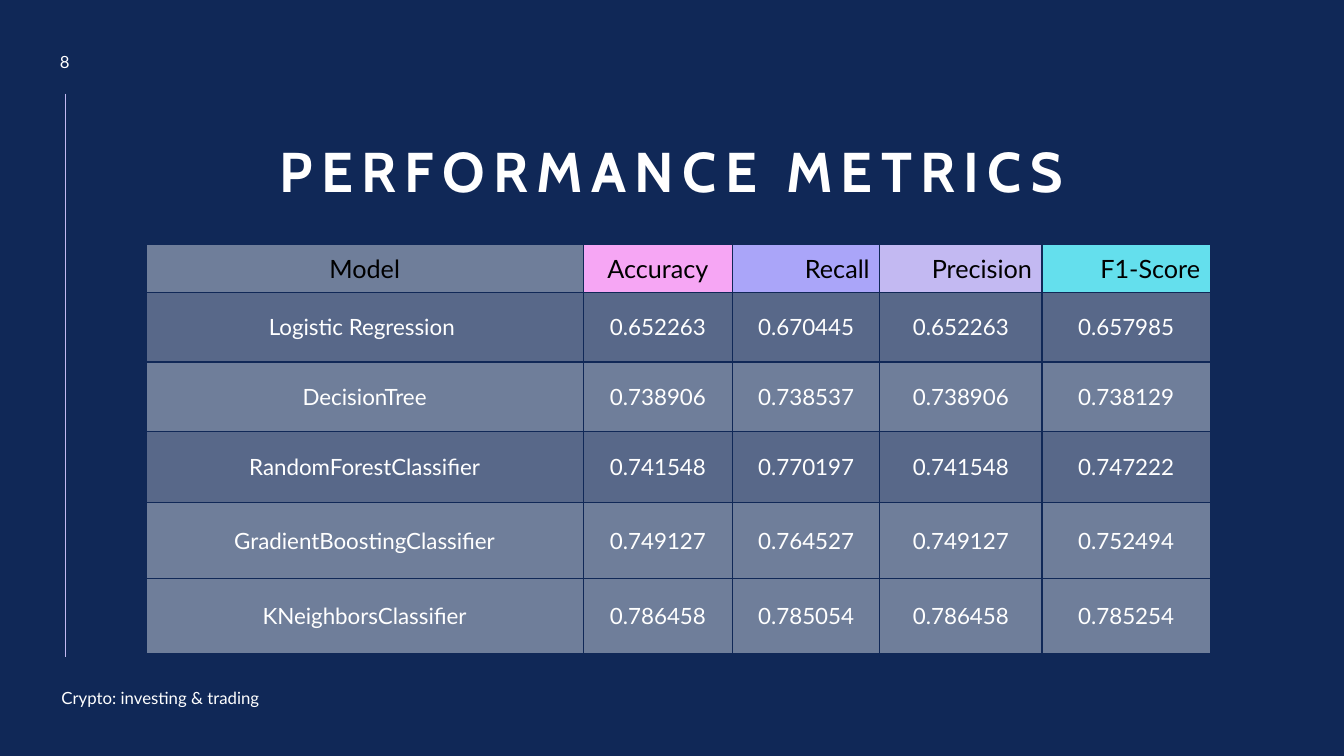
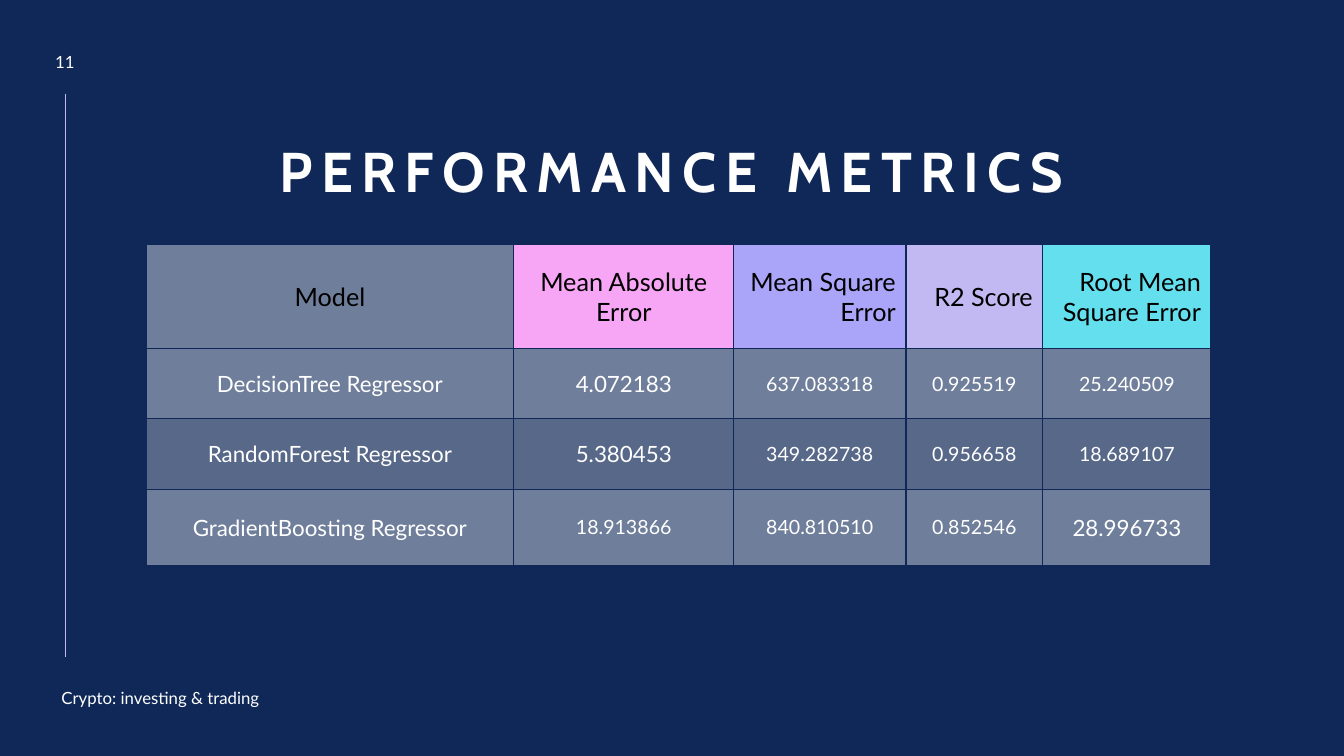
from dataclasses import dataclass, field

import pptx
import pptx.dml.color
import pptx.enum.shapes
import pptx.enum.text
import pptx.oxml
import pptx.oxml.ns
import pptx.util

Cm = pptx.util.Cm
Pt = pptx.util.Pt
Align = pptx.enum.text.PP_ALIGN
Anchor = pptx.enum.text.MSO_ANCHOR


@dataclass(frozen=True)
class Theme:
    navy: str = "102857"
    white: str = "FFFFFF"
    black: str = "000000"
    rule: str = "C3B9F2"
    header_fills: tuple[str, ...] = ("F6A6F4", "AAA5F9", "C3B9F2", "64DFED")
    light_row: int = 40
    dark_row: int = 30
    title_font: str = "Cabin"
    body_font: str = "Lato"
    title_size: int = 40
    header_size: int = 18
    cell_size: int = 16
    small_cell_size: int = 14
    footer_size: int = 12


THEME = Theme()


@dataclass(frozen=True)
class ModelScores:
    """One table row; small lists the columns set in the smaller size."""

    model: str
    scores: tuple[str, ...]
    height: float
    opacity: int = THEME.light_row
    small: tuple[int, ...] = field(default=())


@dataclass(frozen=True)
class MetricsSlide:
    number: str
    metrics: tuple[str, ...]
    column_widths: tuple[float, ...]
    header_height: float
    models: tuple[ModelScores, ...]


CLASSIFIERS = MetricsSlide(
    number="8",
    metrics=("Accuracy", "Recall", "Precision", "F1-Score"),
    column_widths=(11.02, 3.76, 3.71, 4.09, 4.24),
    header_height=1.22,
    models=(
        ModelScores("Logistic Regression ", ("0.652263", "0.670445", "0.652263", "0.657985"),
                    1.75, THEME.dark_row),
        ModelScores("DecisionTree", ("0.738906", "0.738537", "0.738906", "0.738129"), 1.75),
        ModelScores("RandomForestClassifier", ("0.741548", "0.770197", "0.741548", "0.747222"),
                    1.8, THEME.dark_row),
        ModelScores("GradientBoostingClassifier",
                    ("0.749127", "0.764527", "0.749127", "0.752494"), 1.9),
        ModelScores("KNeighborsClassifier",
                    ("0.786458", "0.785054", "0.786458", "0.785254"), 1.9),
    ),
)

REGRESSORS = MetricsSlide(
    number="11",
    metrics=("Mean Absolute Error", "Mean Square Error", "R2 Score", "Root Mean Square Error"),
    column_widths=(9.27, 5.54, 4.34, 3.45, 4.24),
    header_height=2.64,
    models=(
        ModelScores("DecisionTree Regressor",
                    ("4.072183", "637.083318", "0.925519", "25.240509"),
                    1.75, small=(2, 3, 4)),
        ModelScores("RandomForest Regressor",
                    ("5.380453", "349.282738", "0.956658", "18.689107"),
                    1.8, THEME.dark_row, small=(2, 3, 4)),
        ModelScores("GradientBoosting Regressor",
                    ("18.913866", "840.810510", "0.852546", "28.996733"),
                    1.9, small=(1, 2, 3)),
    ),
)


def rgb(value: str) -> pptx.dml.color.RGBColor:
    return pptx.dml.color.RGBColor.from_string(value)


def write(frame, text: str, *, size: int, color: str = THEME.white,
          font: str = THEME.body_font, bold: bool = False, align=Align.CENTER,
          spacing: float = 0, line_spacing: float = 1.0) -> None:
    """Fill a text frame with one formatted paragraph; spacing is in points."""
    paragraph = frame.paragraphs[0]
    paragraph.alignment = align
    paragraph.line_spacing = line_spacing
    run = paragraph.add_run()
    run.text = text
    run.font.name = font
    run.font.size = Pt(size)
    run.font.bold = bold
    run.font.color.rgb = rgb(color)
    if spacing:
        run.font._element.set("spc", str(int(spacing * 100)))


def add_label(slide, text: str, left: float, top: float, width: float, height: float,
              align) -> None:
    frame = slide.shapes.add_textbox(Cm(left), Cm(top), Cm(width), Cm(height)).text_frame
    frame.word_wrap = True
    frame.vertical_anchor = Anchor.MIDDLE
    write(frame, text, size=THEME.footer_size, align=align)


def add_side_rule(slide) -> None:
    rule = slide.shapes.add_connector(
        pptx.enum.shapes.MSO_CONNECTOR.STRAIGHT, Cm(1.65), Cm(2.36), Cm(1.65), Cm(16.56))
    rule.line.color.rgb = rgb(THEME.rule)
    rule.line.width = Pt(0.5)
    pptx.oxml.ns.qn("a:effectLst")
    rule._element.spPr.append(
        pptx.oxml.parse_xml(f'<a:effectLst {pptx.oxml.ns.nsdecls("a")}/>'))


def add_title(slide) -> None:
    title = slide.shapes.title
    title.left, title.top = Cm(3.05), Cm(2.31)
    title.width, title.height = Cm(27.76), Cm(2.97)
    frame = title.text_frame
    frame.auto_size = pptx.enum.text.MSO_AUTO_SIZE.NONE
    frame.word_wrap = True
    frame.vertical_anchor = Anchor.BOTTOM
    write(frame, "PERFORMANCE METRICS", size=THEME.title_size, font=THEME.title_font,
          bold=True, spacing=6, line_spacing=0.9)


def style_cell(cell, fill: str, opacity: int = 100) -> None:
    """Draw the borders first, since the schema puts them before the fill."""
    properties = cell._tc.get_or_add_tcPr()
    for side in ("lnL", "lnR", "lnT", "lnB"):
        properties.append(pptx.oxml.parse_xml(
            f'<a:{side} {pptx.oxml.ns.nsdecls("a")} w="{Pt(1)}"><a:solidFill>'
            f'<a:srgbClr val="{THEME.navy}"/></a:solidFill></a:{side}>'))
    cell.fill.solid()
    cell.fill.fore_color.rgb = rgb(fill)
    if opacity < 100:
        color = properties.find("/".join(map(pptx.oxml.ns.qn, ("a:solidFill", "a:srgbClr"))))
        color.append(pptx.oxml.parse_xml(
            f'<a:alpha {pptx.oxml.ns.nsdecls("a")} val="{opacity * 1000}"/>'))
    cell.vertical_anchor = Anchor.MIDDLE


def add_metrics_table(slide, content: MetricsSlide) -> None:
    heights = [content.header_height, *(model.height for model in content.models)]
    widths = content.column_widths
    table = slide.shapes.add_table(len(heights), len(widths), Cm(3.68), Cm(6.15),
                                   Cm(sum(widths)), Cm(sum(heights))).table
    table.first_row = table.horz_banding = False
    for column, width in zip(table.columns, widths):
        column.width = Cm(width)
    for row, height in zip(table.rows, heights):
        row.height = Cm(height)

    headings = ("Model", *content.metrics)
    fills = (THEME.white, *THEME.header_fills)
    for index, (heading, fill) in enumerate(zip(headings, fills)):
        cell = table.cell(0, index)
        style_cell(cell, fill, THEME.light_row if index == 0 else 100)
        write(cell.text_frame, heading, size=THEME.header_size, color=THEME.black,
              align=Align.CENTER if index < 2 else Align.RIGHT)

    for row_index, model in enumerate(content.models, start=1):
        for index, value in enumerate((model.model, *model.scores)):
            cell = table.cell(row_index, index)
            style_cell(cell, THEME.white, model.opacity)
            write(cell.text_frame, value,
                  size=THEME.small_cell_size if index in model.small else THEME.cell_size)


def add_metrics_slide(deck, content: MetricsSlide) -> None:
    slide = deck.slides.add_slide(deck.slide_layouts.get_by_name("Title Only"))
    add_side_rule(slide)
    add_title(slide)
    add_label(slide, content.number, 0.91, 1.14, 1.45, 0.86, Align.CENTER)
    add_metrics_table(slide, content)
    add_label(slide, "Crypto: investing & trading", 1.3, 17.2, 6.48, 0.76, Align.LEFT)


def main() -> None:
    deck = pptx.Presentation()
    deck.slide_width, deck.slide_height = Cm(33.87), Cm(19.05)
    background = deck.slide_master.background.fill
    background.solid()
    background.fore_color.rgb = rgb(THEME.navy)
    for content in (CLASSIFIERS, REGRESSORS):
        add_metrics_slide(deck, content)
    deck.save("out.pptx")


if __name__ == "__main__":
    main()
